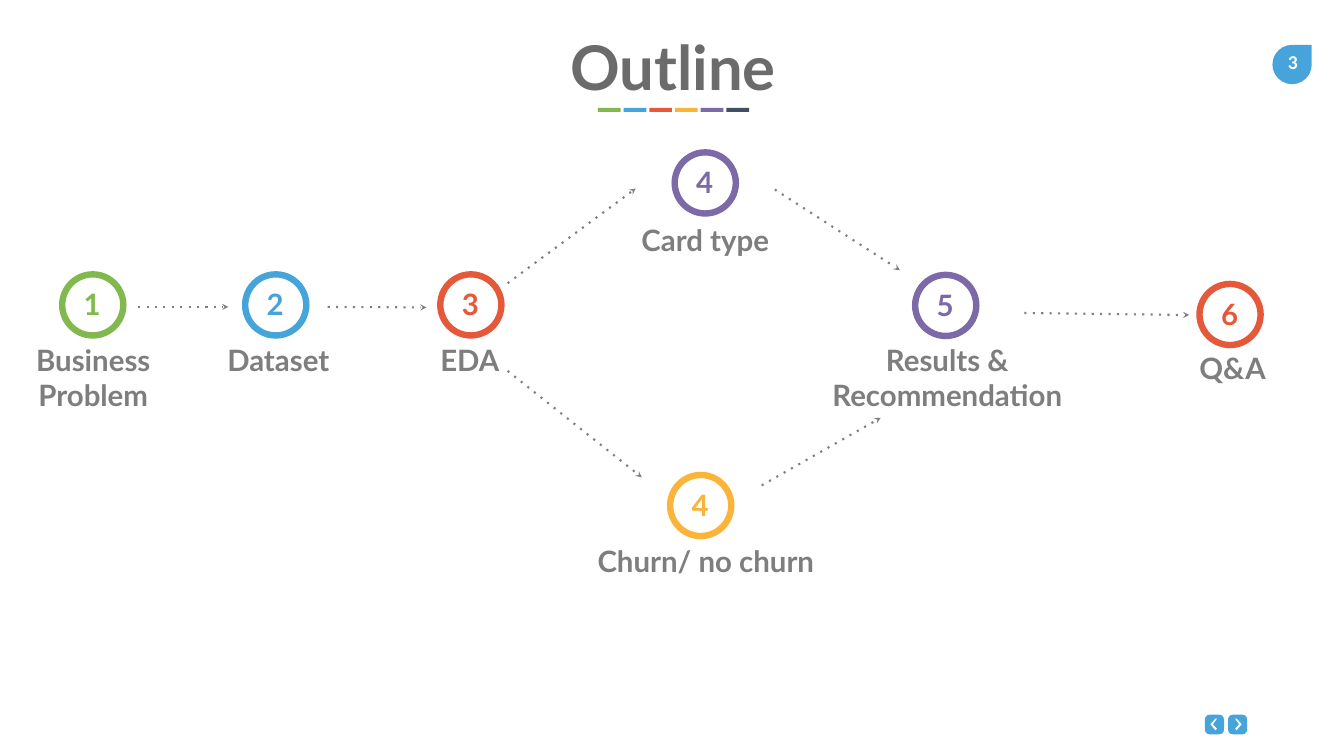
from lxml.etree import SubElement
from pptx import Presentation
from pptx.dml.color import RGBColor
from pptx.enum.shapes import MSO_CONNECTOR, MSO_SHAPE
from pptx.enum.text import MSO_ANCHOR, MSO_AUTO_SIZE, PP_ALIGN
from pptx.oxml.ns import qn
from pptx.util import Inches, Pt

COLORS = {
    "green": "81B94F", "blue": "46A4DB", "red": "E5583A", "yellow": "F9B439",
    "purple": "7C69A8", "navy": "404F64", "title": "6B6B6B", "label": "7E7E7E",
    "arrow": "7F7F7F", "white": "FFFFFF",
}
COLS, ROWS = 26.66, 15
RING = 1.34
STEPS = [
    ("1", "Business Problem", "green", 1.84, 5.38, 1.85, 6.69, 2.9),
    ("2", "Dataset", "blue", 5.47, 5.38, 5.52, 6.68, 3.76),
    ("3", "EDA", "red", 9.34, 5.38, 9.32, 6.68, 4.3),
    ("4", "Churn/ no churn", "yellow", 13.9, 9.36, 14, 10.68, 5.05),
    ("4", "Card type", "purple", 13.99, 2.96, 13.99, 4.3, 4.58),
    ("5", "Results &\nRecommendation", "purple", 18.76, 5.39, 18.79, 6.68, 5.05),
    ("6", "Q&A", "red", 24.4, 5.57, 24.45, 6.85, 2.9),
]
ARROWS = [
    (2.74, 6.09, 4.53, 6.09), (6.5, 6.09, 8.46, 6.1),
    (10.07, 5.62, 12.61, 3.74), (15.37, 3.76, 17.85, 5.36),
    (15.11, 9.63, 17.47, 8.29), (10.07, 7.36, 12.73, 9.47),
    (20.32, 6.21, 23.59, 6.25),
]
CHEVRON = [(-0.05, -0.11), (0.03, 0), (-0.05, 0.09),
           (-0.02, 0.12), (0.08, 0), (-0.02, -0.11)]


def rgb(name):
    return RGBColor.from_string(COLORS[name])


def write(tf, text, size=42, font="Lato", color="label", inset=(0.2, 0.1)):
    tf.word_wrap = True
    tf.auto_size = MSO_AUTO_SIZE.NONE
    tf.vertical_anchor = MSO_ANCHOR.TOP
    tf.margin_left = tf.margin_right = Inches(inset[0])
    tf.margin_top = tf.margin_bottom = Inches(inset[1])
    for i, line in enumerate(text.split("\n")):
        p = tf.add_paragraph() if i else tf.paragraphs[0]
        p.alignment = PP_ALIGN.CENTER
        r = p.add_run()
        r.text = line
        r.font.name = font
        r.font.size = Pt(size)
        r.font.bold = True
        r.font.color.rgb = rgb(color)


class OutlineSlide:
    """Draws styled elements on a slide, placed on a grid of one-inch cells."""

    def __init__(self, prs):
        self.s = prs.slides.add_slide(prs.slide_layouts[5])

    def title(self, text, x, y, w, h):
        sp = self.s.shapes.title
        sp.left, sp.top, sp.width, sp.height = map(Inches, (x, y, w, h))
        write(sp.text_frame, text, size=88, color="title", inset=(0.1, 0.05))

    def text(self, text, x, y, w, h, **fmt):
        sp = self.s.shapes.add_textbox(*map(Inches, (x, y, w, h)))
        write(sp.text_frame, text, **fmt)

    def paint(self, sp, color):
        sp.shadow.inherit = False
        sp.fill.solid()
        sp.fill.fore_color.rgb = rgb(color)
        sp.line.fill.background()

    def shape(self, kind, x, y, w, h, color, adj=None):
        sp = self.s.shapes.add_shape(kind, *map(Inches, (x, y, w, h)))
        if adj is not None:
            sp.adjustments[0] = adj
        self.paint(sp, color)

    def step(self, number, label, color, x, y, label_x, label_y, label_w):
        self.shape(MSO_SHAPE.DONUT, x - RING / 2, y, RING, RING, color, 0.095)
        lines = 2 if label_w < len(label) * 0.2 or "\n" in label else 1
        self.text(label, label_x - label_w / 2, label_y, label_w, 0.2 + 0.71 * lines)
        self.text(number, x - 0.58, y + 0.2, 1.14, 0.91, color=color)

    def arrow(self, x1, y1, x2, y2):
        sp = self.s.shapes.add_connector(
            MSO_CONNECTOR.STRAIGHT, *map(Inches, (x1, y1, x2, y2)))
        sp.line.width = Pt(3)
        sp.line.color.rgb = rgb("arrow")
        ln = sp.line._get_or_add_ln()
        SubElement(ln, qn("a:prstDash"), val="dot")
        SubElement(ln, qn("a:tailEnd"), type="stealth")
        SubElement(sp._element.spPr, qn("a:effectLst"))

    def button(self, x, y, direction):
        self.shape(MSO_SHAPE.ROUNDED_RECTANGLE, x - 0.19, y - 0.19, 0.38, 0.39, "blue", 0.25)
        pts = [(Inches(x + direction * dx), Inches(y + dy)) for dx, dy in CHEVRON]
        fb = self.s.shapes.build_freeform(*pts[0])
        fb.add_line_segments(pts[1:], close=True)
        self.paint(fb.convert_to_shape(), "white")


def main():
    prs = Presentation()
    prs.slide_width, prs.slide_height = Inches(COLS), Inches(ROWS)
    slide = OutlineSlide(prs)
    slide.title("Outline", 1.9, 0.53, 22.9, 1.58)
    for i, color in enumerate(("green", "blue", "red", "yellow", "purple", "navy")):
        slide.shape(MSO_SHAPE.RECTANGLE, 11.86 + 0.51 * i, 2.14, 0.45, 0.08, color)
    slide.shape(MSO_SHAPE.TEAR, 25.24, 0.89, 0.78, 0.78, "blue")
    slide.text("3", 25.21, 0.9, 0.87, 0.67, size=28, font="Calibri", color="white")
    for step in STEPS:
        slide.step(*step)
    for ends in ARROWS:
        slide.arrow(*ends)
    for x, direction in ((24.09, -1), (24.55, 1)):
        slide.button(x, 14.37, direction)
    prs.save("out.pptx")


if __name__ == "__main__":
    main()
